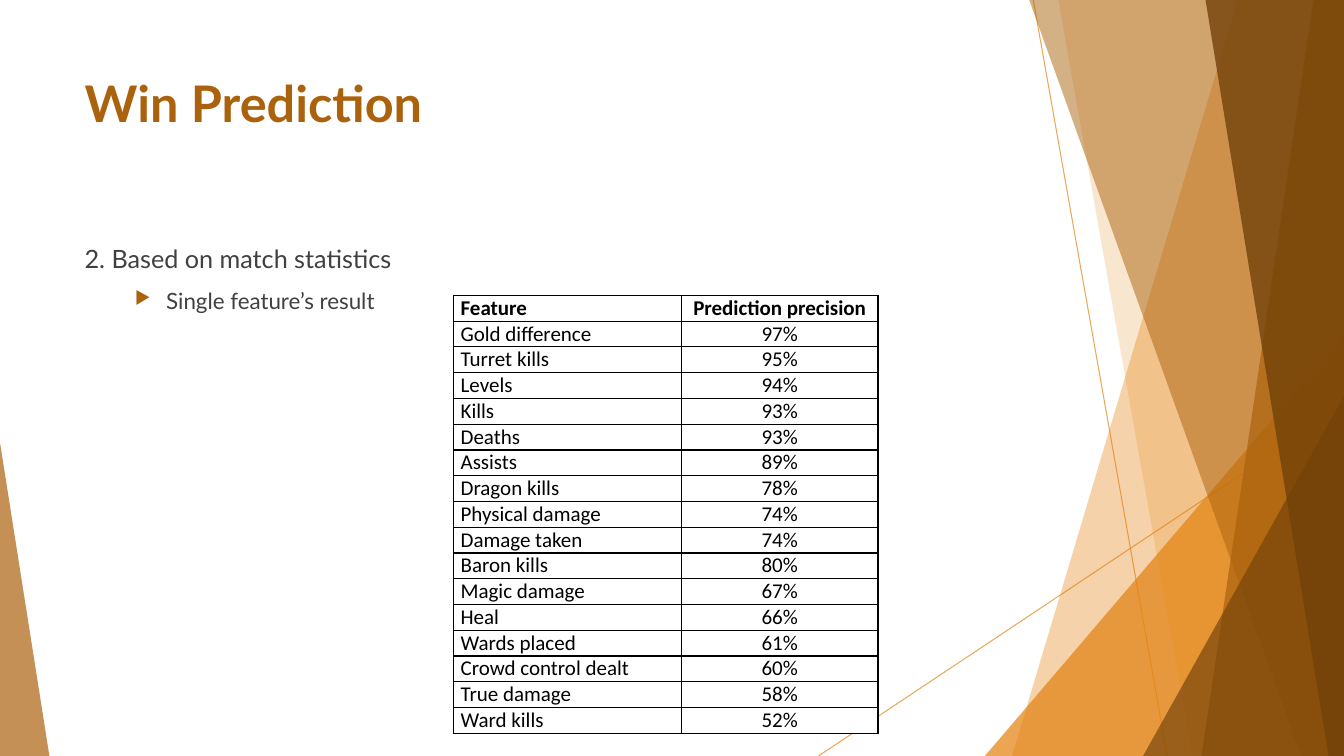
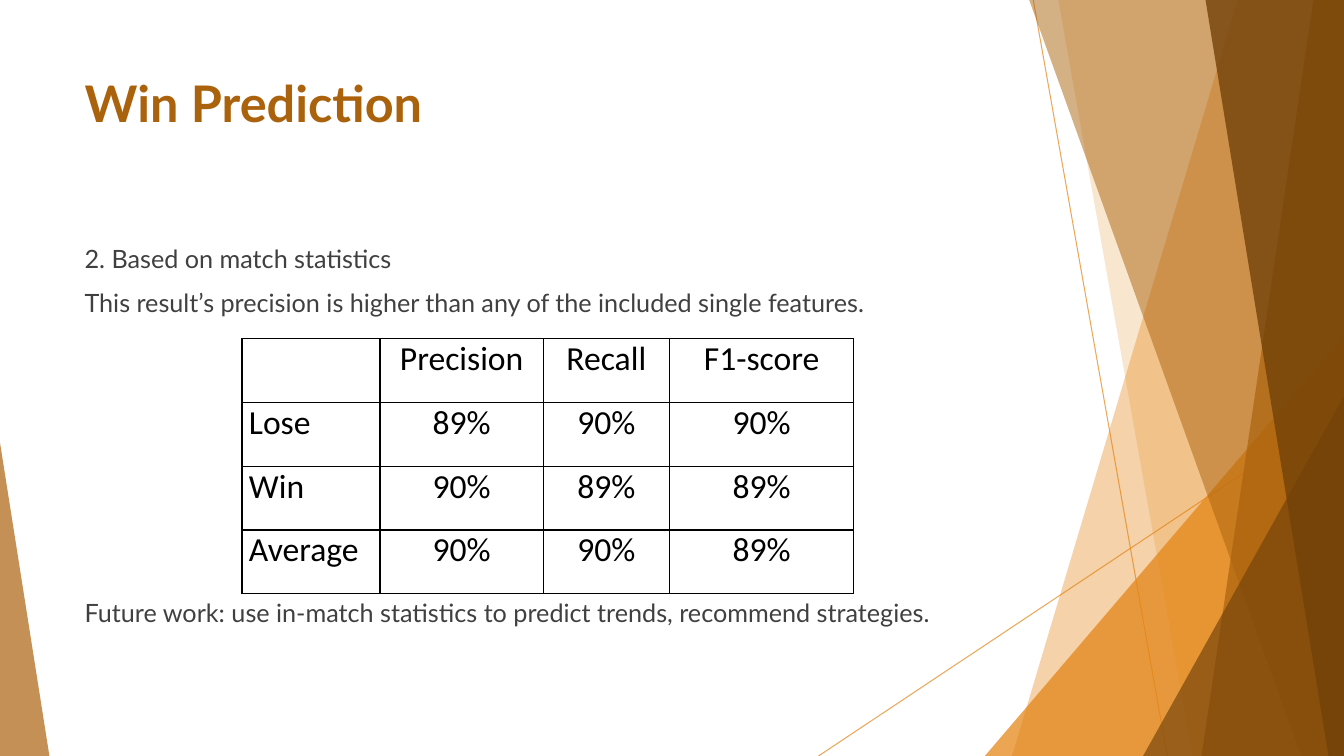
from lxml.etree import SubElement as sub
from pptx import Presentation
from pptx.dml.color import RGBColor as RGB
from pptx.enum.shapes import MSO_CONNECTOR as LINK, MSO_SHAPE as SHAPE
from pptx.enum.text import MSO_ANCHOR as ANCHOR, MSO_AUTO_SIZE as FIT, PP_ALIGN as ALIGN
from pptx.oxml import parse_xml
from pptx.oxml.ns import nsdecls, qn
from pptx.util import Inches, Pt

WIDE, HIGH = Inches(13.333), Inches(7.5)
ORANGE = RGB(0xE4, 0x83, 0x12)
RUST = RGB(0xAB, 0x62, 0x0D)
BROWN = RGB(0x72, 0x42, 0x09)
GREY = RGB(0x40, 0x40, 0x40)
BLACK = RGB(0, 0, 0)
WHITE = RGB(0xFF, 0xFF, 0xFF)

HEAD = {"name": "Lato", "size": Pt(36), "bold": True}
BODY = {"name": "Lato", "size": Pt(18)}
POINT = {"name": "Lato", "size": Pt(16)}
SMALL = {"name": "Calibri", "size": Pt(15)}
LARGE = {"name": "Calibri", "size": Pt(24)}
FRAME = {"word_wrap": True, "auto_size": FIT.NONE, "vertical_anchor": ANCHOR.TOP}
INSET = {"margin_left": Inches(0.07), "margin_right": Inches(0.07),
         "margin_top": 0, "margin_bottom": 0}
PLAIN = {"first_row": False, "horz_banding": False}

LEFT, SPAN = 5.55, 70.5
LINES = [(76.88, 0, 86.85, 100), (100, 53.73, 60.9, 100)]
BACK = [(92.1, 75.3, ORANGE, 36), (78.75, 88.73, ORANGE, 20)]
FRONT = [(76.58, 96.83, RUST, 50), (97.73, 89.4, RUST, 70), (89.7, 98.85, BROWN, 80)]

FACTS = [
    ("Feature", "Prediction precision"),
    ("Gold difference", "97%"),
    ("Turret kills", "95%"),
    ("Levels", "94%"),
    ("Kills", "93%"),
    ("Deaths", "93%"),
    ("Assists", "89%"),
    ("Dragon kills", "78%"),
    ("Physical damage", "74%"),
    ("Damage taken", "74%"),
    ("Baron kills", "80%"),
    ("Magic damage", "67%"),
    ("Heal", "66%"),
    ("Wards placed", "61%"),
    ("Crowd control dealt", "60%"),
    ("True damage", "58%"),
    ("Ward kills", "52%"),
]
SCORES = [
    ("", "Precision", "Recall", "F1-score"),
    ("Lose", "89%", "90%", "90%"),
    ("Win", "90%", "89%", "89%"),
    ("Average", "90%", "90%", "89%"),
]


def across(share):
    return round(WIDE * share / 100)


def down(share):
    return round(HIGH * share / 100)


def box(left, top, width, height):
    return across(left), down(top), across(width), down(height)


def assign(item, form):
    for key, value in form.items():
        setattr(item, key, value)


def write(para, text, form, color):
    run = para.add_run()
    run.text = text
    assign(run.font, form)
    run.font.color.rgb = color


def fade(shape, alpha):
    for color in shape.element.spPr.iter(qn("a:srgbClr")):
        sub(color, qn("a:alpha"), val=str(alpha * 1000))


def paint(shape, color, alpha):
    shape.shadow.inherit = False
    shape.fill.solid()
    shape.fill.fore_color.rgb = color
    shape.line.fill.background()
    fade(shape, alpha)


def stroke(shapes, x1, y1, x2, y2):
    line = shapes.add_connector(LINK.STRAIGHT, across(x1), down(y1), across(x2), down(y2))
    line.line.color.rgb = ORANGE
    line.line.width = Pt(0.75)
    fade(line, 70)
    sub(line.element.spPr, qn("a:effectLst"))


def band(shapes, top, base, color, alpha):
    pen = shapes.build_freeform(across(top), 0, 1)
    pen.add_line_segments([(WIDE, 0), (WIDE, HIGH), (across(base), HIGH)])
    paint(pen.convert_to_shape(), color, alpha)


def wedge(shapes, left, top, width, peak, color, alpha):
    shape = shapes.add_shape(SHAPE.ISOSCELES_TRIANGLE, *box(left, top, width, 100 - top))
    shape.adjustments[0] = peak
    paint(shape, color, alpha)


def dress(layout, slide):
    group = slide.shapes.add_group_shape()
    shapes = group.shapes
    for ends in LINES:
        stroke(shapes, *ends)
    for strip in BACK:
        band(shapes, *strip)
    wedge(shapes, 73.28, 44.4, 26.72, 1, ORANGE, 72)
    for strip in FRONT:
        band(shapes, *strip)
    wedge(shapes, 85.05, 52.4, 14.95, 1, BROWN, 66)
    wedge(shapes, 0, 58.53, 3.68, 0, RUST, 70)
    for index, node in enumerate(group.element.iter(qn("p:cNvPr"))):
        node.set("id", str(100 + index))
    layout.shapes.element.insert(2, group.element)


def title(slide, text):
    shape = slide.shapes.title
    shape.left, shape.top, shape.width, shape.height = box(LEFT, 8.93, SPAN, 19.2)
    assign(shape.text_frame, FRAME)
    para = shape.text_frame.paragraphs[0]
    para.alignment = ALIGN.LEFT
    write(para, text, HEAD, RUST)


def bullet(para):
    props = para._p.get_or_add_pPr()
    props.set("marL", str(Inches(0.81)))
    props.set("indent", str(Inches(-0.31)))
    sub(sub(props, qn("a:buClr")), qn("a:srgbClr"), val=str(RUST))
    sub(props, qn("a:buSzPct"), val="80000")
    sub(props, qn("a:buChar"), char="▶")


def body(slide, height, items):
    frame = slide.shapes.add_textbox(*box(LEFT, 31.47, SPAN, height)).text_frame
    assign(frame, FRAME)
    for index, (text, level, gap) in enumerate(items):
        para = frame.add_paragraph() if index else frame.paragraphs[0]
        para.level = level
        para.space_before = Pt(gap)
        if level:
            bullet(para)
        write(para, text, POINT if level else BODY, GREY)


def border(cell):
    props = cell._tc.get_or_add_tcPr()
    for index, side in enumerate("LRTB"):
        props.insert(index, parse_xml(
            f'<a:ln{side} {nsdecls("a")} w="{Pt(1)}"><a:solidFill>'
            f'<a:srgbClr val="{BLACK}"/></a:solidFill></a:ln{side}>'))


def table(slide, left, top, cols, row, data, form, bold=False):
    area = box(left, top, sum(cols), row * len(data))
    grid = slide.shapes.add_table(len(data), len(cols), *area).table
    assign(grid, PLAIN)
    for col, width in zip(grid.columns, cols):
        col.width = across(width)
    for r, texts in enumerate(data):
        grid.rows[r].height = down(row)
        for c, text in enumerate(texts):
            cell = grid.cell(r, c)
            assign(cell, INSET)
            cell.fill.solid()
            cell.fill.fore_color.rgb = WHITE
            border(cell)
            para = cell.text_frame.paragraphs[0]
            para.alignment = ALIGN.CENTER if c else ALIGN.JUSTIFY
            if text:
                write(para, text, {**form, "bold": bold and r == 0}, BLACK)


def main():
    deck = Presentation()
    deck.slide_width, deck.slide_height = WIDE, HIGH
    layout = deck.slide_layouts[5]
    first, second = [deck.slides.add_slide(layout) for _ in range(2)]
    dress(layout, first)
    for slide in (first, second):
        title(slide, "Win Prediction")
    topic = ("2. Based on match statistics", 0, 10)

    body(first, 56.53, [topic, ("Single feature’s result", 1, 10)])
    table(first, 33.75, 39.07, [16.95, 14.63], 3.33, FACTS, SMALL, bold=True)

    body(second, 65.87, [
        topic,
        ("This result’s precision is higher than any of the included single features.", 0, 10),
        ("Future work: use in-match statistics to predict trends, recommend strategies.", 0, 200),
    ])
    table(second, 18, 44.8, [10.28, 12.15, 9.38, 13.73], 8.44, SCORES, LARGE)
    deck.save("out.pptx")


if __name__ == "__main__":
    main()
